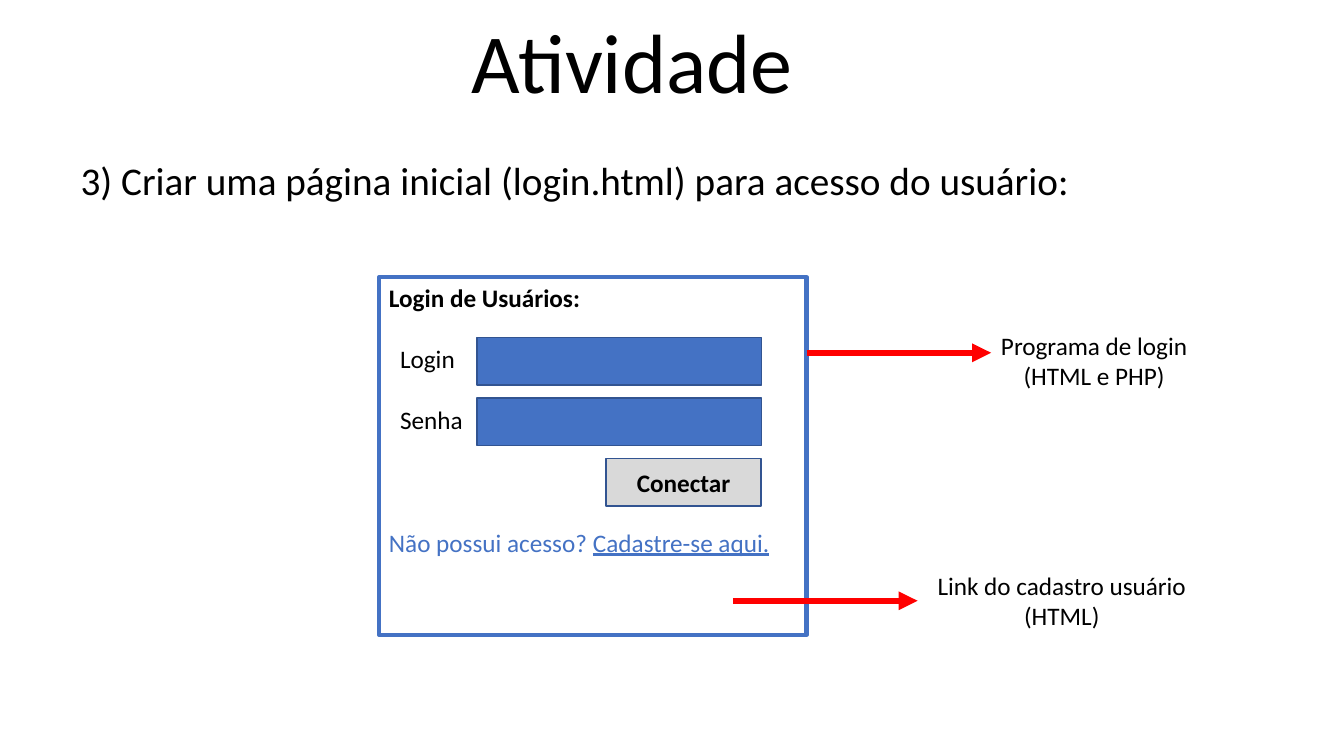
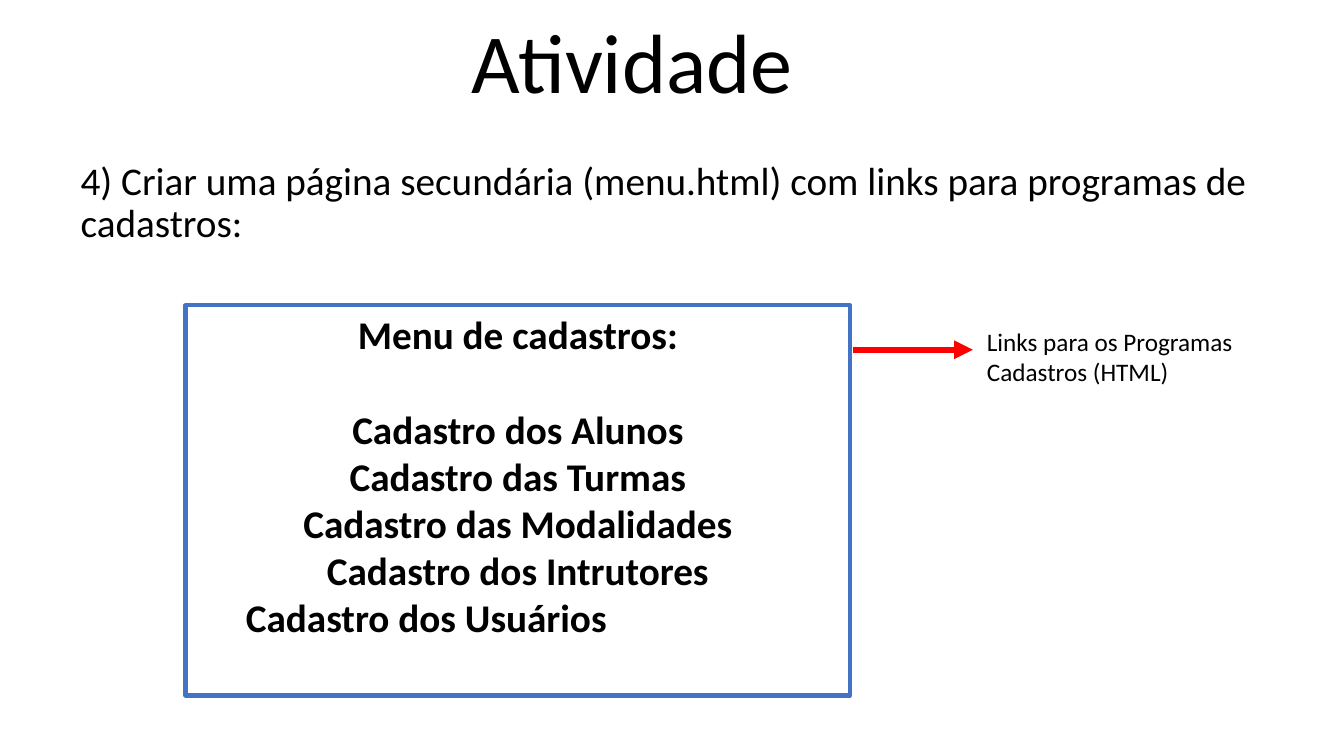
from dataclasses import dataclass

from lxml import etree
from pptx import Presentation
from pptx.dml.color import RGBColor
from pptx.enum import shapes, text
from pptx.oxml.ns import qn
from pptx.util import Inches, Pt


@dataclass(frozen=True)
class Theme:
    font: str = "Calibri"
    black: RGBColor = RGBColor(0, 0, 0)
    blue: RGBColor = RGBColor(0x44, 0x72, 0xC4)
    dark_blue: RGBColor = RGBColor(0x32, 0x54, 0x91)
    gray: RGBColor = RGBColor(0xD9, 0xD9, 0xD9)
    red: RGBColor = RGBColor(0xFF, 0, 0)
    title: Pt = Pt(60)
    body: Pt = Pt(28)
    label: Pt = Pt(18)


T = Theme()
LEFT, CENTER = text.PP_ALIGN.LEFT, text.PP_ALIGN.CENTER


def write(tf, lines, size, bold=False, color=T.black):
    """Fill a frame with (text, paragraph formats, indent in inches) lines."""
    for i, (words, formats, indent) in enumerate(lines):
        p = tf.paragraphs[0] if i == 0 else tf.add_paragraph()
        for name, value in formats.items():
            setattr(p, name, value)
        if indent:
            p._p.get_or_add_pPr().set("marL", str(Inches(indent)))
        r = p.add_run()
        r.text = words
        for name, value in {"name": T.font, "size": size, "bold": bold}.items():
            setattr(r.font, name, value)
        r.font.color.rgb = color


def add_rect(s, at, line, width, fill=None):
    sp = s.shapes.add_shape(shapes.MSO_SHAPE.RECTANGLE, *map(Inches, at))
    sp.shadow.inherit = False
    sp.line.color.rgb, sp.line.width = line, Pt(width)
    if fill is None:
        sp.fill.background()
    else:
        sp.fill.solid()
        sp.fill.fore_color.rgb = fill
    sp.text_frame.word_wrap = True
    return sp


prs = Presentation()
prs.slide_width, prs.slide_height = Inches(13.33), Inches(7.5)

# Task, panel, and callouts: arrow start, arrow end, text box, lines with alignment
activities = [
    ("3) Criar uma página inicial (login.html) para acesso do usuário:",
     (3.76, 2.75, 4.24, 3.55),
     [((7.27, 5.96), (9.1, 5.96), (9.2, 5.61, 2.69, 0.71),
       [("Link do cadastro usuário", LEFT), ("(HTML)", CENTER)]),
      ((8, 3.5), (9.83, 3.5), (9.83, 3.23, 2.07, 0.71),
       [("Programa de login", LEFT), ("(HTML e PHP)", CENTER)])]),
    ("4) Criar uma página secundária (menu.html) com links para programas de cadastros:",
     (1.84, 3.03, 6.59, 3.87),
     [((8.46, 3.47), (9.65, 3.47), (9.69, 3.19, 2.66, 0.71),
       [("Links para os Programas", LEFT), ("Cadastros (HTML)", LEFT)])]),
]

panels = []
for task, panel_at, callouts in activities:
    s = prs.slides.add_slide(prs.slide_layouts[0])
    title, body = s.placeholders
    for holder, at, words, size, anchor, formats in [
        (title, (1.27, 0.06, 10, 1.1), "Atividade", T.title, text.MSO_ANCHOR.BOTTOM,
         {"alignment": CENTER, "line_spacing": 0.9}),
        (body, (0.7, 1.55, 12.23, 4.23), task, T.body, text.MSO_ANCHOR.TOP,
         {"alignment": LEFT, "line_spacing": 0.9, "space_before": Pt(10)}),
    ]:
        holder.left, holder.top, holder.width, holder.height = map(Inches, at)
        tf = holder.text_frame
        tf.auto_size, tf.vertical_anchor = text.MSO_AUTO_SIZE.NONE, anchor
        write(tf, [(words, formats, 0)], size)

    panel = add_rect(s, panel_at, T.blue, 3)
    panel.text_frame.vertical_anchor = text.MSO_ANCHOR.TOP
    panels.append((s, panel.text_frame))

    for start, end, label_at, lines in callouts:
        arrow = s.shapes.add_connector(shapes.MSO_CONNECTOR.STRAIGHT,
                                       *map(Inches, start + end))
        arrow.line.color.rgb, arrow.line.width = T.red, Pt(4.5)
        etree.SubElement(arrow.line._get_or_add_ln(), qn("a:tailEnd"), type="triangle")
        etree.SubElement(arrow._element.spPr, qn("a:effectLst"))
        label = s.shapes.add_textbox(*map(Inches, label_at))
        label.text_frame.word_wrap = False
        write(label.text_frame,
              [(words, {"alignment": side}, 0) for words, side in lines], T.label)

(login, login_tf), (menu, menu_tf) = panels

# Login form
row = Pt(22)
write(login_tf, [
    ("Login de Usuários:", {"alignment": LEFT}, 0),
    ("Login", {"alignment": LEFT, "space_before": row}, 0.11),
    ("Senha", {"alignment": LEFT, "space_before": row}, 0.11),
    ("Não possui acesso? ", {"alignment": LEFT, "space_before": 3 * row}, 0),
], T.label)
heading, *fields, signup = login_tf.paragraphs
heading.runs[0].font.bold = True
link = signup.add_run()
link.text = "Cadastre-se aqui."
link.font.underline = True
for r in signup.runs:
    r.font.name, r.font.size, r.font.color.rgb = T.font, T.label, T.blue

field_right, field_top, field_step = 7.55, 3.35, 0.6
for i, (width, fill) in enumerate([(2.82, T.blue), (2.82, T.blue), (1.54, T.gray)]):
    control = add_rect(login, (field_right - width, field_top + i * field_step, width, 0.47),
                       T.dark_blue, 1, fill)
control.text_frame.vertical_anchor = text.MSO_ANCHOR.MIDDLE
write(control.text_frame, [("Conectar", {"alignment": CENTER}, 0)], T.label, bold=True)

# Menu of registers
write(menu_tf, [
    ("Menu de cadastros:", {"alignment": CENTER, "space_after": Pt(34)}, 0),
    *[(f"Cadastro {group}", {"alignment": CENTER}, 0)
      for group in ("dos Alunos", "das Turmas", "das Modalidades", "dos Intrutores")],
    ("Cadastro dos Usuários", {"alignment": LEFT}, 0.5),
], T.body, bold=True)

prs.save("out.pptx")
